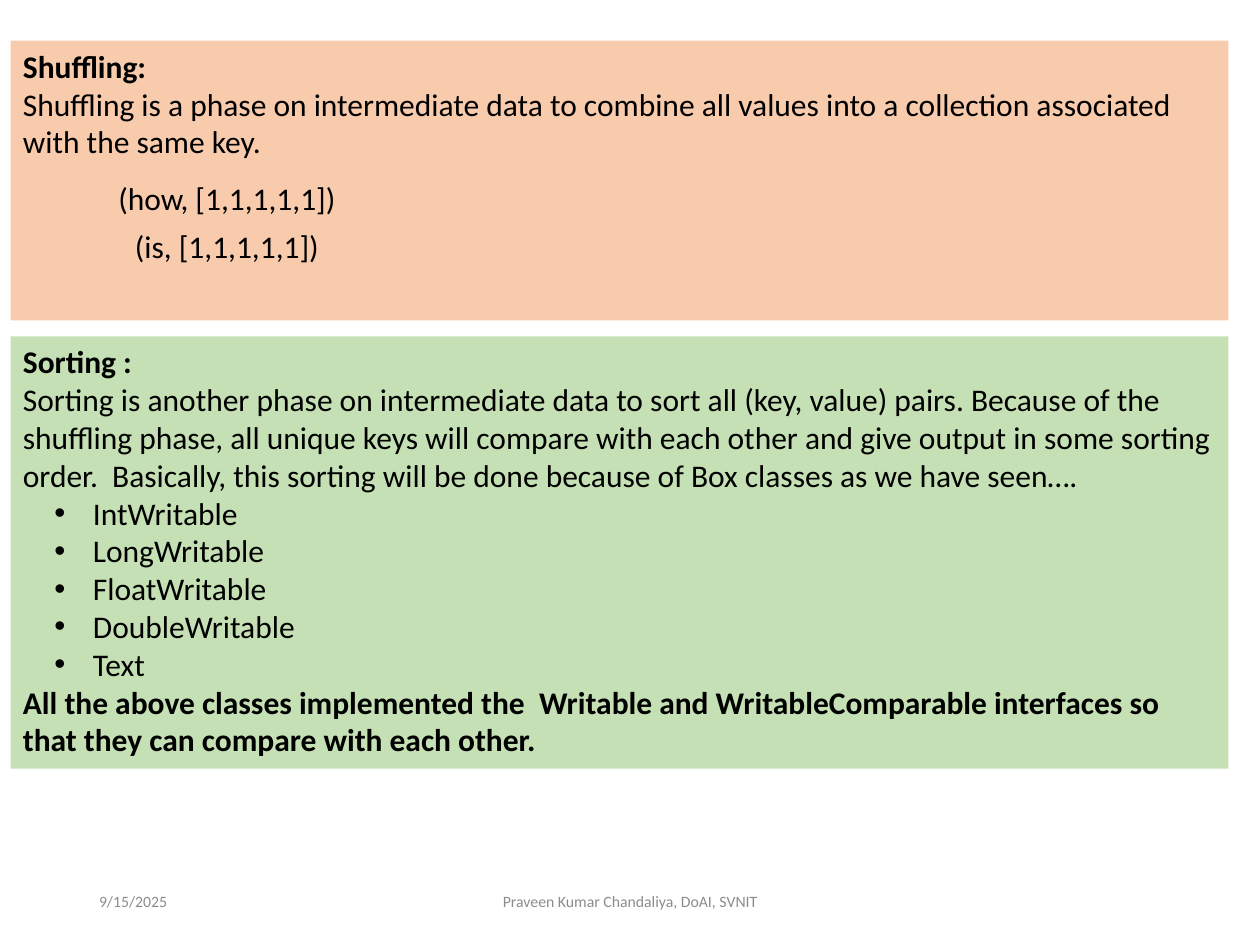
from dataclasses import dataclass
from typing import Optional

from lxml.etree import SubElement
from pptx import Presentation
from pptx.dml.color import RGBColor
from pptx.enum.shapes import MSO_SHAPE
from pptx.enum.text import MSO_ANCHOR, PP_ALIGN
from pptx.oxml.ns import qn
from pptx.util import Pt

PEACH = RGBColor(0xF8, 0xCB, 0xAD)
GREEN = RGBColor(0xC5, 0xE0, 0xB4)
BLACK = RGBColor(0x00, 0x00, 0x00)
GREY = RGBColor(0x8C, 0x8C, 0x8C)
FONT = "Calibri"
PANEL_LEFT, PANEL_WIDTH = 6, 696
FOOTER_TOP, FOOTER_HEIGHT = 500.4, 28.8
BULLET_MARGIN, BULLET_HANG = 40, 22


@dataclass
class Line:
    text: str
    bold: bool = False
    bullet: bool = False


@dataclass
class Panel:
    top: float
    height: float
    fill: RGBColor
    lines: list[Line]


@dataclass
class Label:
    text: str
    left: float
    top: float
    width: float
    height: float = 28.8
    size: float = 18
    color: RGBColor = BLACK
    align: Optional[PP_ALIGN] = PP_ALIGN.LEFT
    anchor: MSO_ANCHOR = MSO_ANCHOR.TOP
    wrap: bool = False


WRITABLE_CLASSES = ["IntWritable", "LongWritable", "FloatWritable", "DoubleWritable", "Text"]

PANELS = [
    Panel(23.2, 160, PEACH, [
        Line("Shuffling:", bold=True),
        Line("Shuffling is a phase on intermediate data to combine all values into a "
             "collection associated with the same key."),
    ]),
    Panel(192.2, 247, GREEN, [
        Line("Sorting :", bold=True),
        Line("Sorting is another phase on intermediate data to sort all (key, value) pairs. "
             "Because of the shuffling phase, all unique keys will compare with each other "
             "and give output in some sorting order.  Basically, this sorting will be done "
             "because of Box classes as we have seen…."),
        *[Line(name, bullet=True) for name in WRITABLE_CLASSES],
        Line("All the above classes implemented the  Writable and WritableComparable "
             "interfaces so that they can compare with each other.", bold=True),
    ]),
]

LABELS = [
    # Shuffled key and value pairs
    Label("(how, [1,1,1,1,1])", 60.5, 98.6, 140.4),
    Label("(is, [1,1,1,1,1])", 70, 126, 121),
    # Footer
    Label("9/15/2025", 49.5, FOOTER_TOP, 162, FOOTER_HEIGHT, 9, GREY,
          anchor=MSO_ANCHOR.MIDDLE, wrap=True),
    Label("Praveen Kumar Chandaliya, DoAI, SVNIT", 238.5, FOOTER_TOP, 243, FOOTER_HEIGHT, 9,
          GREY, PP_ALIGN.CENTER, MSO_ANCHOR.MIDDLE, True),
]


def add_span(para, text: str, size: float, color: RGBColor, bold: bool = False) -> None:
    span = para.add_run()
    span.text = text
    span.font.name = FONT
    span.font.size = Pt(size)
    span.font.bold = bold
    span.font.color.rgb = color


def add_bullet(para) -> None:
    properties = para._p.get_or_add_pPr()
    properties.set("marL", str(Pt(BULLET_MARGIN)))
    properties.set("indent", str(-Pt(BULLET_HANG)))
    SubElement(properties, qn("a:buFont")).set("typeface", "Arial")
    SubElement(properties, qn("a:buChar")).set("char", "•")


def draw_panel(page, panel: Panel) -> None:
    box = page.shapes.add_shape(MSO_SHAPE.RECTANGLE, Pt(PANEL_LEFT), Pt(panel.top),
                                Pt(PANEL_WIDTH), Pt(panel.height))
    box.shadow.inherit = False
    box.fill.solid()
    box.fill.fore_color.rgb = panel.fill
    box.line.fill.background()
    frame = box.text_frame
    frame.word_wrap = True
    frame.vertical_anchor = MSO_ANCHOR.TOP
    for index, line in enumerate(panel.lines):
        para = frame.add_paragraph() if index else frame.paragraphs[0]
        para.alignment = PP_ALIGN.LEFT
        if line.bullet:
            para.level = 1
            add_bullet(para)
        add_span(para, line.text, 18, BLACK, line.bold)


def draw_label(page, label: Label) -> None:
    box = page.shapes.add_textbox(Pt(label.left), Pt(label.top), Pt(label.width), Pt(label.height))
    frame = box.text_frame
    frame.word_wrap = label.wrap
    frame.vertical_anchor = label.anchor
    para = frame.paragraphs[0]
    para.alignment = label.align
    add_span(para, label.text, label.size, label.color)


def main() -> None:
    deck = Presentation()
    deck.slide_width, deck.slide_height = Pt(720), Pt(540)
    page = deck.slides.add_slide(deck.slide_layouts[6])
    for panel in PANELS:
        draw_panel(page, panel)
    for label in LABELS:
        draw_label(page, label)
    deck.save("out.pptx")


if __name__ == "__main__":
    main()
